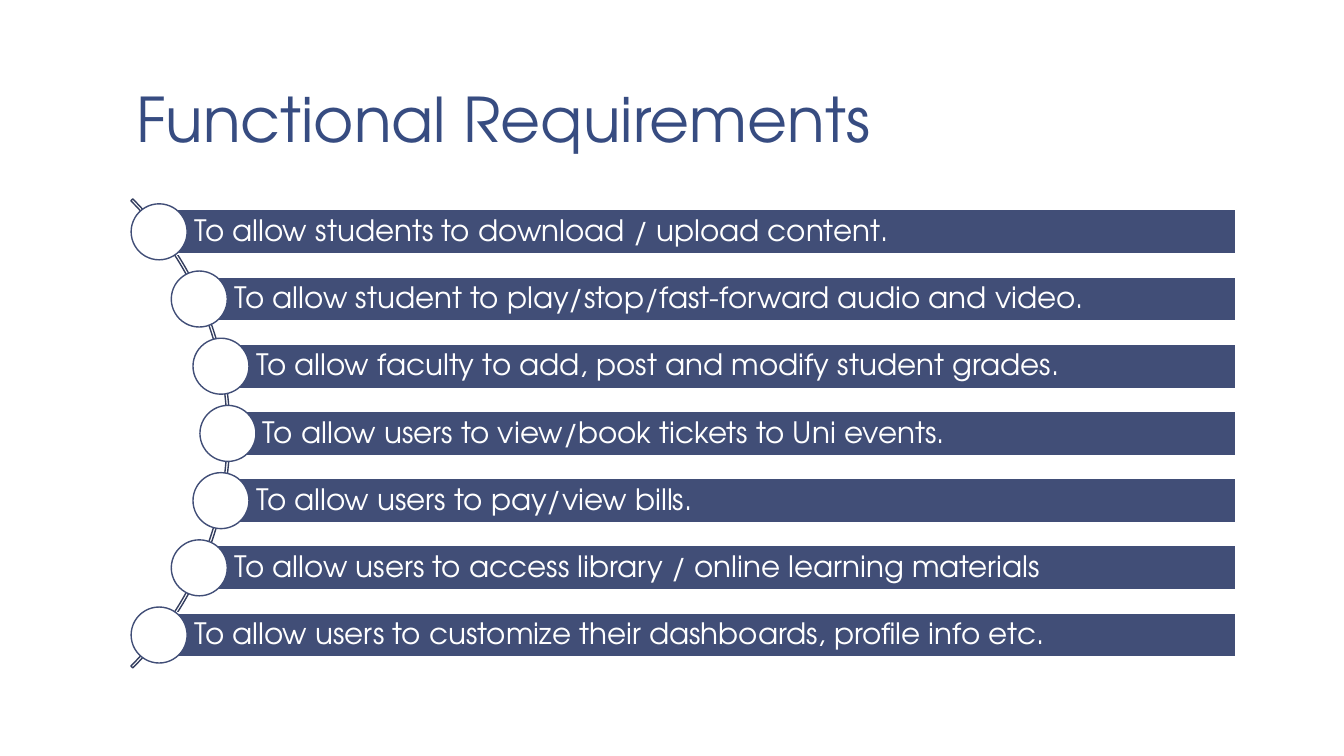
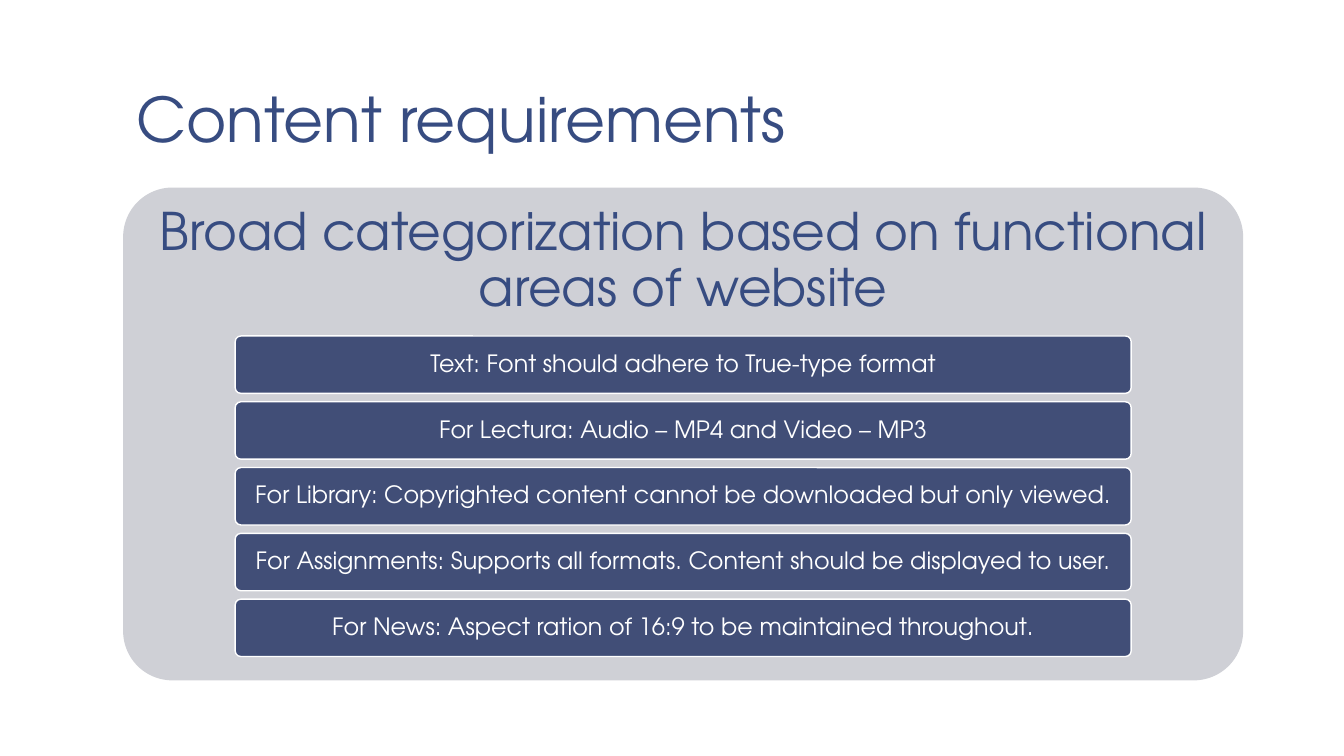
from math import sqrt

from pptx import Presentation
from pptx.dml.color import RGBColor
from pptx.enum.shapes import MSO_SHAPE
from pptx.enum.text import MSO_ANCHOR, MSO_AUTO_SIZE, PP_ALIGN
from pptx.util import Pt

WHITE = RGBColor(0xFF, 0xFF, 0xFF)
TITLE_BLUE = RGBColor(0x37, 0x4C, 0x81)
BAR_BLUE = RGBColor(0x41, 0x4E, 0x77)
ARC_BLUE = RGBColor(0x34, 0x3E, 0x5F)
PANEL_GREY = RGBColor(0xCF, 0xD0, 0xD6)
FONT = "TeX Gyre Adventor"

TITLE_ONLY = 5
CONTENT_LEFT, CONTENT_WIDTH = 88, 800

ARC_CENTER_X, ARC_CENTER_Y = -72.7, 309.6
ARC_RADIUS = 236.9
BALL_TRACK_RADIUS = 235.5
BALL_SIZE = 40
BAR_HEIGHT, BAR_STEP, BAR_RIGHT = 31.6, 48, 883

PANEL_TOP, PANEL_HEIGHT, HEADING_HEIGHT = 134, 352, 106
CARD_LEFT, CARD_WIDTH, CARD_HEIGHT, CARD_STEP = 168, 640, 41, 47

FUNCTIONS = [
    "To allow students to download / upload content.",
    "To allow student to play/stop/fast-forward audio and video.",
    "To allow faculty to add, post and modify student grades.",
    "To allow users to view/book tickets to Uni events.",
    "To allow users to pay/view bills.",
    "To allow users to access library / online learning materials",
    "To allow users to customize their dashboards, profile info etc.",
]
CONTENT_RULES = [
    "Text: Font should adhere to True-type format",
    "For Lectura: Audio – MP4 and Video – MP3",
    "For Library: Copyrighted content cannot be downloaded but only viewed.",
    "For Assignments: Supports all formats. Content should be displayed to user.",
    "For News: Aspect ration of 16:9 to be maintained throughout.",
]


def set_text(box, text, size, color, align, anchor, insets, spacing=0.9):
    """Write one paragraph; insets run left, top, right, bottom."""
    frame = box.text_frame
    left, top, right, bottom = map(Pt, insets)
    frame_format = {
        "word_wrap": True,
        "auto_size": MSO_AUTO_SIZE.NONE,
        "vertical_anchor": anchor,
        "margin_left": left,
        "margin_top": top,
        "margin_right": right,
        "margin_bottom": bottom,
    }
    for name, value in frame_format.items():
        setattr(frame, name, value)
    para = frame.paragraphs[0]
    para.alignment = align
    para.line_spacing = spacing
    span = para.add_run()
    span.text = text
    for name, value in {"name": FONT, "size": Pt(size)}.items():
        setattr(span.font, name, value)
    span.font.color.rgb = color


def add_box(page, kind, left, top, width, height, fill=None, line=None, adjustments=()):
    box = page.shapes.add_shape(kind, Pt(left), Pt(top), Pt(width), Pt(height))
    box.shadow.inherit = False
    for index, value in enumerate(adjustments):
        box.adjustments[index] = value
    if fill is None:
        box.fill.background()
    else:
        box.fill.solid()
        box.fill.fore_color.rgb = fill
    if line is None:
        box.line.fill.background()
    else:
        box.line.color.rgb = line
        box.line.width = Pt(1)
    return box


def add_page(deck, title):
    page = deck.slides.add_slide(deck.slide_layouts[TITLE_ONLY])
    box = page.shapes.title
    place = {"left": CONTENT_LEFT, "top": 6, "width": CONTENT_WIDTH, "height": 110}
    for name, value in place.items():
        setattr(box, name, Pt(value))
    set_text(box, title, 44, TITLE_BLUE, PP_ALIGN.LEFT, MSO_ANCHOR.BOTTOM,
             (9.4, 5, 9.4, 5), 0.85)
    return page


def add_curved_list(page, items):
    """Bars whose balls follow the arc at the left."""
    add_box(page, MSO_SHAPE.BLOCK_ARC, ARC_CENTER_X - ARC_RADIUS,
            ARC_CENTER_Y - ARC_RADIUS, 2 * ARC_RADIUS, 2 * ARC_RADIUS,
            line=ARC_BLUE, adjustments=(189, 27, 0.004))
    for index, item in enumerate(items):
        offset = (index - (len(items) - 1) / 2) * BAR_STEP
        center_x = ARC_CENTER_X + sqrt(BALL_TRACK_RADIUS ** 2 - offset ** 2)
        center_y = ARC_CENTER_Y + offset
        bar = add_box(page, MSO_SHAPE.RECTANGLE, center_x, center_y - BAR_HEIGHT / 2,
                      BAR_RIGHT - center_x, BAR_HEIGHT, BAR_BLUE, WHITE)
        set_text(bar, item, 21, WHITE, PP_ALIGN.LEFT, MSO_ANCHOR.MIDDLE,
                 (25, 4.2, 4.2, 4.2))
        add_box(page, MSO_SHAPE.OVAL, center_x - BALL_SIZE / 2, center_y - BALL_SIZE / 2,
                BALL_SIZE, BALL_SIZE, WHITE, BAR_BLUE)


def add_card_panel(page, heading, items):
    add_box(page, MSO_SHAPE.ROUNDED_RECTANGLE, CONTENT_LEFT, PANEL_TOP,
            CONTENT_WIDTH, PANEL_HEIGHT, PANEL_GREY, adjustments=(0.1,))
    heading_box = page.shapes.add_textbox(
        Pt(CONTENT_LEFT), Pt(PANEL_TOP), Pt(CONTENT_WIDTH), Pt(HEADING_HEIGHT))
    set_text(heading_box, heading, 37, TITLE_BLUE, PP_ALIGN.CENTER,
             MSO_ANCHOR.MIDDLE, (11, 11, 11, 11))
    for index, item in enumerate(items):
        top = PANEL_TOP + HEADING_HEIGHT + index * CARD_STEP
        card = add_box(page, MSO_SHAPE.ROUNDED_RECTANGLE, CARD_LEFT, top,
                       CARD_WIDTH, CARD_HEIGHT, BAR_BLUE, WHITE, (0.1,))
        set_text(card, item, 17, WHITE, PP_ALIGN.CENTER, MSO_ANCHOR.MIDDLE,
                 (3.6, 2.7, 3.6, 2.7))


def main():
    deck = Presentation()
    deck.slide_width, deck.slide_height = Pt(960), Pt(540)
    add_curved_list(add_page(deck, "Functional Requirements"), FUNCTIONS)
    add_card_panel(add_page(deck, "Content requirements"),
                   "Broad categorization based on functional areas of website",
                   CONTENT_RULES)
    deck.save("out.pptx")


if __name__ == "__main__":
    main()
